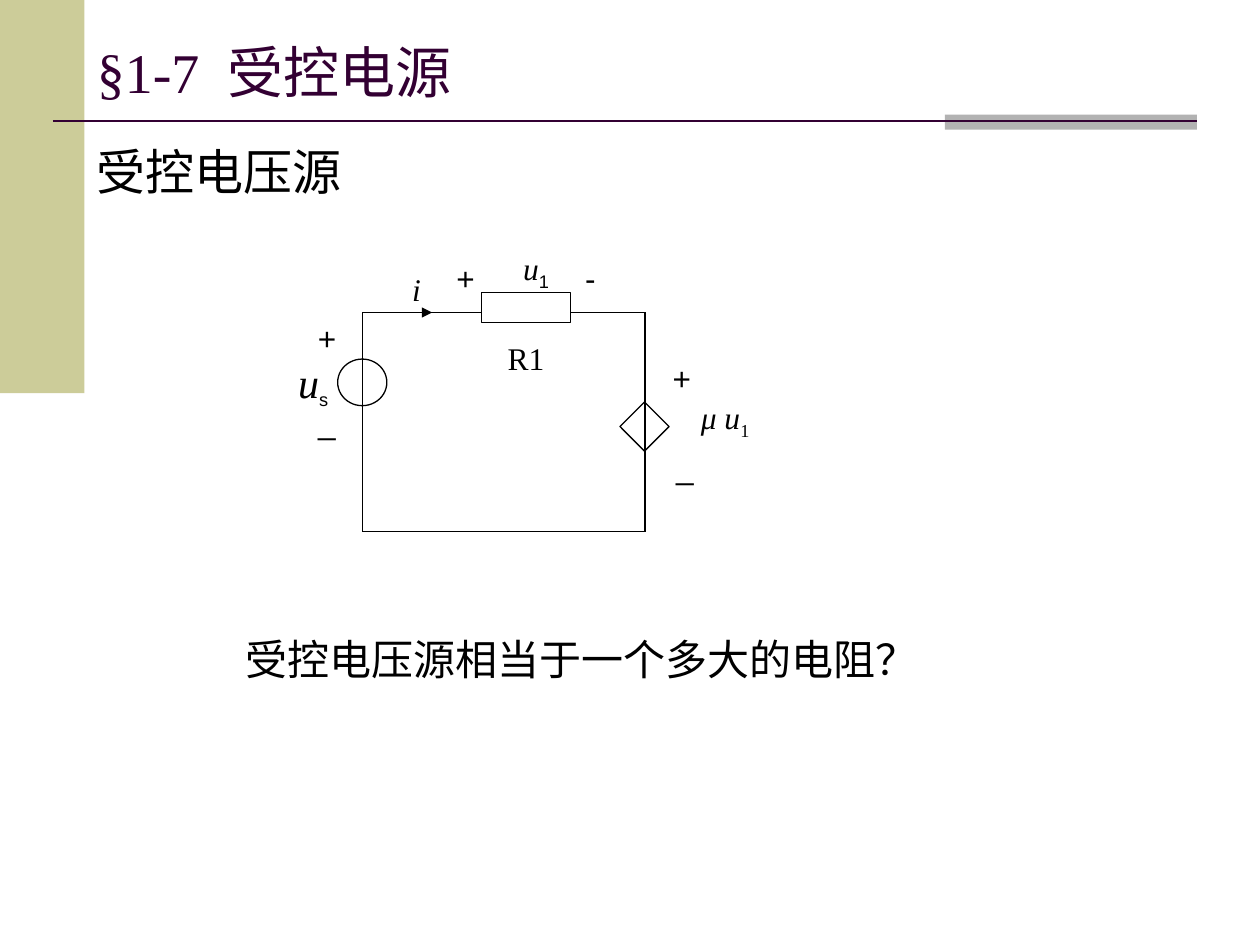
from dataclasses import dataclass
from typing import Any

from lxml.etree import SubElement
from pptx import Presentation
from pptx.dml.color import RGBColor
from pptx.enum.shapes import MSO_CONNECTOR as LINE, MSO_SHAPE as SHAPE
from pptx.enum.text import MSO_ANCHOR as ANCHOR, PP_ALIGN as ALIGN
from pptx.oxml.ns import qn
from pptx.util import Inches, Pt

BLACK = RGBColor(0x00, 0x00, 0x00)
PLUM = RGBColor(0x33, 0x00, 0x33)
KHAKI = RGBColor(0xCC, 0xCC, 0x99)
GREY = RGBColor(0xB2, 0xB2, 0xB2)
SANS, SERIF = "Arial", "Times New Roman"
COLS, ROWS = 100, 75
CELL = Inches(0.1)


def cells(*values):
    """Turn grid columns or rows into slide lengths."""
    return [round(v * CELL) for v in values]


@dataclass
class Sketch:
    """Style and current slide; every position is in grid cells."""
    slide: Any
    color: RGBColor = BLACK
    width: float = 0.75
    size: int = 18

    def block(self, box, color):
        sp = self.slide.shapes.add_shape(SHAPE.RECTANGLE, *cells(*box))
        sp.shadow.inherit = False
        sp.fill.solid()
        sp.fill.fore_color.rgb = color
        sp.line.fill.background()

    def symbol(self, kind, box):
        sp = self.slide.shapes.add_shape(kind, *cells(*box))
        sp.shadow.inherit = False
        sp.fill.background()
        sp.line.color.rgb = self.color
        sp.line.width = Pt(self.width)

    def wire(self, start, end, color=None, width=None, arrow=False):
        c = self.slide.shapes.add_connector(LINE.STRAIGHT, *cells(*start, *end))
        c.line.color.rgb = color or self.color
        c.line.width = Pt(width or self.width)
        if arrow:
            SubElement(c.line._get_or_add_ln(), qn("a:tailEnd"), type="triangle")
        SubElement(c._element.spPr, qn("a:effectLst"))

    def text(self, box, words, font=SANS, size=None, color=None, italic=False,
             sub="", sub_font=None, sub_size=None, align=ALIGN.CENTER,
             anchor=ANCHOR.TOP):
        """Write words, with an optional upright subscript after them."""
        tf = self.slide.shapes.add_textbox(*cells(*box)).text_frame
        tf.word_wrap = True
        tf.vertical_anchor = anchor
        p = tf.paragraphs[0]
        p.text = words
        p.alignment = align
        p.font.size = Pt(size or self.size)
        p.font.name = font
        p.font.color.rgb = color or self.color
        for r in p.runs:
            self.style(r, font, size or self.size, color, italic)
        if sub:
            r = p.add_run()
            r.text = sub
            self.style(r, sub_font or font, sub_size or self.size, color, False)
            r.font._element.set("baseline", "-25000")
        return p

    def style(self, r, font, size, color, italic):
        r.font.name = font
        r.font.size = Pt(size)
        r.font.italic = italic
        r.font.color.rgb = color or self.color


def draw_frame(s):
    s.block((0, 0, 6.7, 31.2), KHAKI)
    s.block((75, 9.1, 20, 1.2), GREY)
    s.wire((4.2, 9.6), (95, 9.6), PLUM, 1.5)
    title = s.text((6.7, 3, 88.3, 5.3), "§1-7", SERIF, 32, PLUM,
                   align=ALIGN.LEFT, anchor=ANCHOR.MIDDLE)
    gap, name = title.add_run(), title.add_run()
    gap.text, name.text = " ", "受控电源"
    for r in (gap, name):
        s.style(r, SERIF, 32, PLUM, False)
    gap.font._element.set("spc", "800")
    s.text((6.7, 10.7, 88.3, 59.1), "受控电压源", size=28, align=ALIGN.LEFT)


def draw_circuit(s):
    left, right, top, bottom = 28.75, 51.2, 24.8, 42.2
    r_left, r_right = 38.2, 45.3
    s.symbol(SHAPE.OVAL, (26.8, 28.5, 3.9, 3.7))
    s.symbol(SHAPE.RECTANGLE, (r_left, 23.2, r_right - r_left, 2.4))
    s.symbol(SHAPE.DIAMOND, (49.2, 31.9, 3.9, 3.9))
    for start, end in (
        ((left, top), (left, bottom)),
        ((left, top), (r_left, top)),
        ((r_right, top), (right, top)),
        ((right, bottom), (right, top)),
        ((left, bottom), (right, bottom)),
    ):
        s.wire(start, end)
    s.wire((30.3, top), (34.3, top), arrow=True)

    for x, y, w, sign in (
        (24, 24.8, 3.9, "+"), (24, 31.5, 3.9, "_"),
        (52.4, 28, 3.1, "+"), (52.4, 35.1, 3.9, "_"),
        (35, 20.1, 3.9, "+"), (43.7, 20.1, 6.3, "-"),
    ):
        s.text((x, y, w, 4), sign)
    s.text((20.9, 27.8, 7.9, 5), "u", SERIF, 24, italic=True,
           sub="s", sub_font=SANS)
    s.text((53.2, 31.1, 8.7, 4), "μ u", SERIF, italic=True, sub="1")
    s.text((38.2, 19.3, 8.7, 4), "u", SERIF, italic=True, sub="1", sub_font=SANS)
    s.text((38.2, 26.4, 7.1, 4), "R1", SERIF)
    s.text((28.7, 20.9, 8.7, 4), "i", SERIF, italic=True)


def main():
    prs = Presentation()
    prs.slide_width, prs.slide_height = cells(COLS, ROWS)
    s = Sketch(prs.slides.add_slide(prs.slide_layouts[6]))
    draw_frame(s)
    draw_circuit(s)
    s.text((18.5, 49.8, 53.5, 5), "受控电压源相当于一个多大的电阻？",
           size=24, align=ALIGN.LEFT)
    prs.save("out.pptx")


if __name__ == "__main__":
    main()
